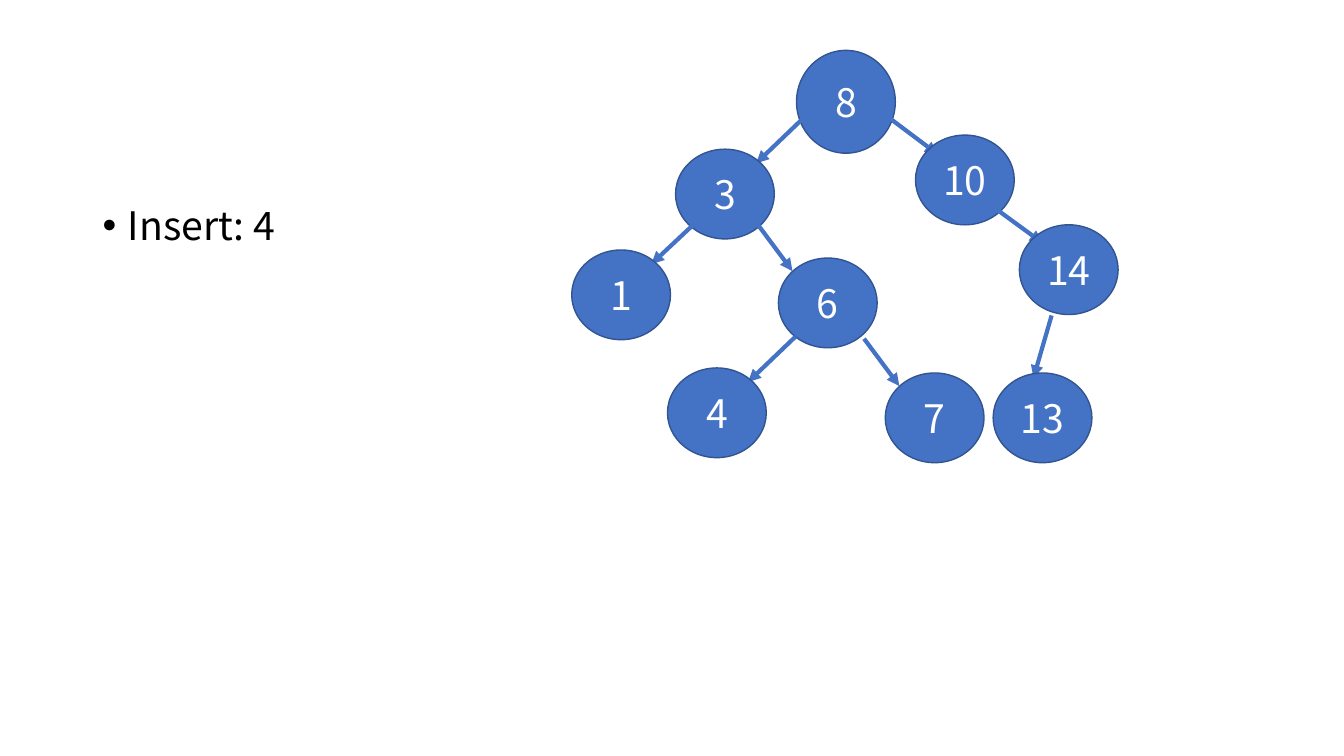
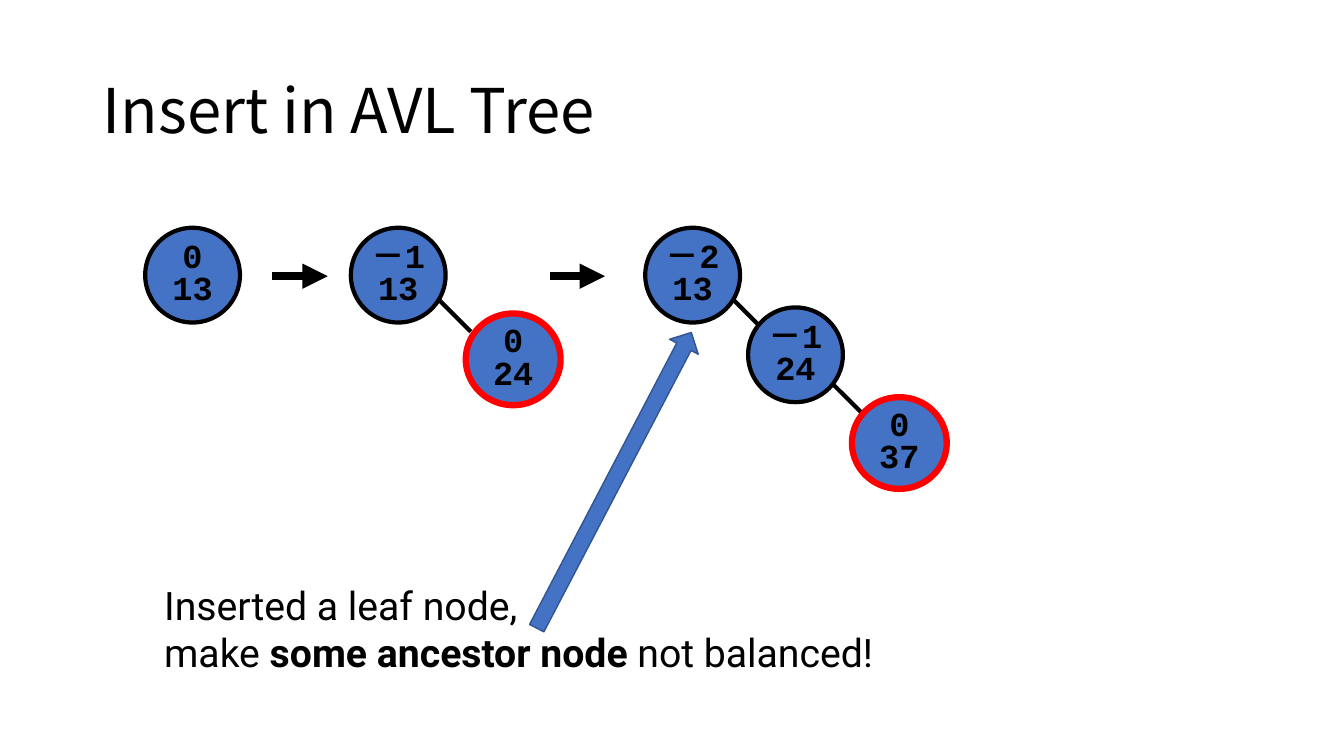
from pptx import Presentation
from pptx.dml.color import RGBColor
from pptx.enum.shapes import MSO_CONNECTOR, MSO_SHAPE
from pptx.enum.text import MSO_ANCHOR, PP_ALIGN
from pptx.oxml.ns import qn
from pptx.util import Emu, Pt
from lxml.etree import SubElement

# One px is a hundredth of an inch
PX = 9144

BLUE = RGBColor(0x44, 0x72, 0xC4)
DARK_BLUE = RGBColor(0x32, 0x54, 0x91)
BLACK = RGBColor(0, 0, 0)
WHITE = RGBColor(0xFF, 0xFF, 0xFF)
RED = RGBColor(0xFF, 0, 0)

MAIN_FONT = "Noto Sans CJK SC"
CODE_FONT = "Courier New"
NOTE_FONT = "Roboto"


class TreeDeck:
    """Holds the style and the current slide."""

    def __init__(self):
        self.deck = Presentation()
        self.deck.slide_width = self.px(1333)
        self.deck.slide_height = self.px(750)
        self.page = None

    def px(self, length):
        return Emu(length * PX)

    def new_page(self):
        self.page = self.deck.slides.add_slide(self.deck.slide_layouts[6])

    def style(self, para, font, size, color, bold=False):
        for span in para.runs:
            span.font.name = font
            span.font.size = Pt(size)
            span.font.color.rgb = color
            span.font.bold = bold

    def text(self, bounds, lines, font, size, anchor=MSO_ANCHOR.TOP, spacing=1.0):
        box = self.page.shapes.add_textbox(*map(self.px, bounds))
        frame = box.text_frame
        frame.word_wrap = True
        frame.vertical_anchor = anchor
        frame.text = "\n".join(lines)
        for para in frame.paragraphs:
            para.line_spacing = spacing
            self.style(para, font, size, BLACK)
        return frame

    def title(self, words):
        self.text((92, 40, 1150, 145), [words], MAIN_FONT, 44, MSO_ANCHOR.MIDDLE, 0.9)

    def bullet(self, words):
        frame = self.text((92, 200, 1150, 175), [words], MAIN_FONT, 28, spacing=0.9)
        para = frame.paragraphs[0]
        para.space_before = Pt(10)
        properties = para._p.get_or_add_pPr()
        properties.set("marL", str(25 * PX))
        properties.set("indent", str(-25 * PX))
        SubElement(properties, qn("a:buFont")).set("typeface", "Arial")
        SubElement(properties, qn("a:buChar")).set("char", "•")

    def shape(self, kind, bounds, line_color=DARK_BLUE, line_width=1):
        shape = self.page.shapes.add_shape(kind, *map(self.px, bounds))
        shape.shadow.inherit = False
        shape.fill.solid()
        shape.fill.fore_color.rgb = BLUE
        shape.line.color.rgb = line_color
        shape.line.width = Pt(line_width)
        return shape

    def node(self, bounds, lines, font, size, color, bold=False, spacing=1.0, **outline):
        node = self.shape(MSO_SHAPE.OVAL, bounds, **outline)
        frame = node.text_frame
        frame.vertical_anchor = MSO_ANCHOR.MIDDLE
        frame.text = "\n".join(lines)
        for para in frame.paragraphs:
            para.alignment = PP_ALIGN.CENTER
            para.line_spacing = spacing
            self.style(para, font, size, color, bold)
        return frame

    def search_node(self, left, top, value, height=89):
        self.node((left, top, 98, height), [value], MAIN_FONT, 28, WHITE)

    def avl_node(self, left, top, balance, value, inserted=False):
        frame = self.node(
            (left, top, 94, 91 if inserted else 94), [balance, value],
            CODE_FONT, 24, BLACK, bold=True, spacing=0.8,
            line_color=RED if inserted else BLACK,
            line_width=4.5 if inserted else 3)
        frame.margin_left = frame.margin_right = 0
        frame.margin_top = frame.margin_bottom = 0

    def line(self, ends, color=BLACK, width=3, arrow=False):
        line = self.page.shapes.add_connector(MSO_CONNECTOR.STRAIGHT, *map(self.px, ends))
        line.line.color.rgb = color
        line.line.width = Pt(width)
        if arrow:
            SubElement(line.line._get_or_add_ln(), qn("a:tailEnd")).set("type", "triangle")
        SubElement(line._element.spPr, qn("a:effectLst"))

    def save(self):
        self.deck.save("out.pptx")


def search_tree_page(slides):
    slides.new_page()
    slides.bullet("Insert: 4")

    # Root, then each edge followed by the child it leads to
    slides.search_node(790, 50, "8", height=102)
    children = [
        ("10", 908, 134, (878, 114, 930, 153)),
        ("14", 1011, 223, (982, 203, 1034, 241)),
        ("3", 670, 148, (797, 117, 750, 162)),
        ("6", 772, 256, (751, 222, 786, 269)),
        ("1", 567, 248, (694, 217, 646, 262)),
        ("7", 878, 370, (857, 336, 892, 383)),
        ("13", 985, 370, (1043, 313, 1025, 375)),
        ("4", 662, 365, (789, 334, 742, 379)),
    ]
    for value, left, top, edge in children:
        slides.line(edge, BLUE, arrow=True)
        slides.search_node(left, top, value)


def avl_insert_page(slides):
    slides.new_page()
    slides.title("Insert in AVL Tree")

    # Tree edges lie behind the nodes
    for edge in [(467, 329, 427, 289), (860, 415, 821, 376), (758, 328, 719, 289)]:
        slides.line(edge)

    # Three stages of the tree
    slides.avl_node(144, 226, "0", "13")
    slides.avl_node(348, 226, "－1", "13")
    slides.avl_node(462, 311, "0", "24", inserted=True)
    slides.avl_node(640, 226, "－2", "13")
    slides.avl_node(742, 305, "－1", "24")
    slides.avl_node(845, 394, "0", "37", inserted=True)

    # Steps between the stages
    for left in (270, 545):
        slides.line((left, 274, left + 55, 274), width=6, arrow=True)

    # Remark, with an arrow to the unbalanced node
    frame = slides.text((153, 572, 800, 104), ["Inserted a leaf node,", "make "], NOTE_FONT, 28)
    para = frame.paragraphs[1]
    for words in ("some ancestor node ", "not balanced!"):
        para.add_run().text = words
    slides.style(para, NOTE_FONT, 28, BLACK)
    para.runs[1].font.bold = True
    pointer = slides.shape(MSO_SHAPE.UP_ARROW, (593, 311, 32, 331))
    pointer.rotation = 27.6


def main():
    slides = TreeDeck()
    search_tree_page(slides)
    avl_insert_page(slides)
    slides.save()


if __name__ == "__main__":
    main()
